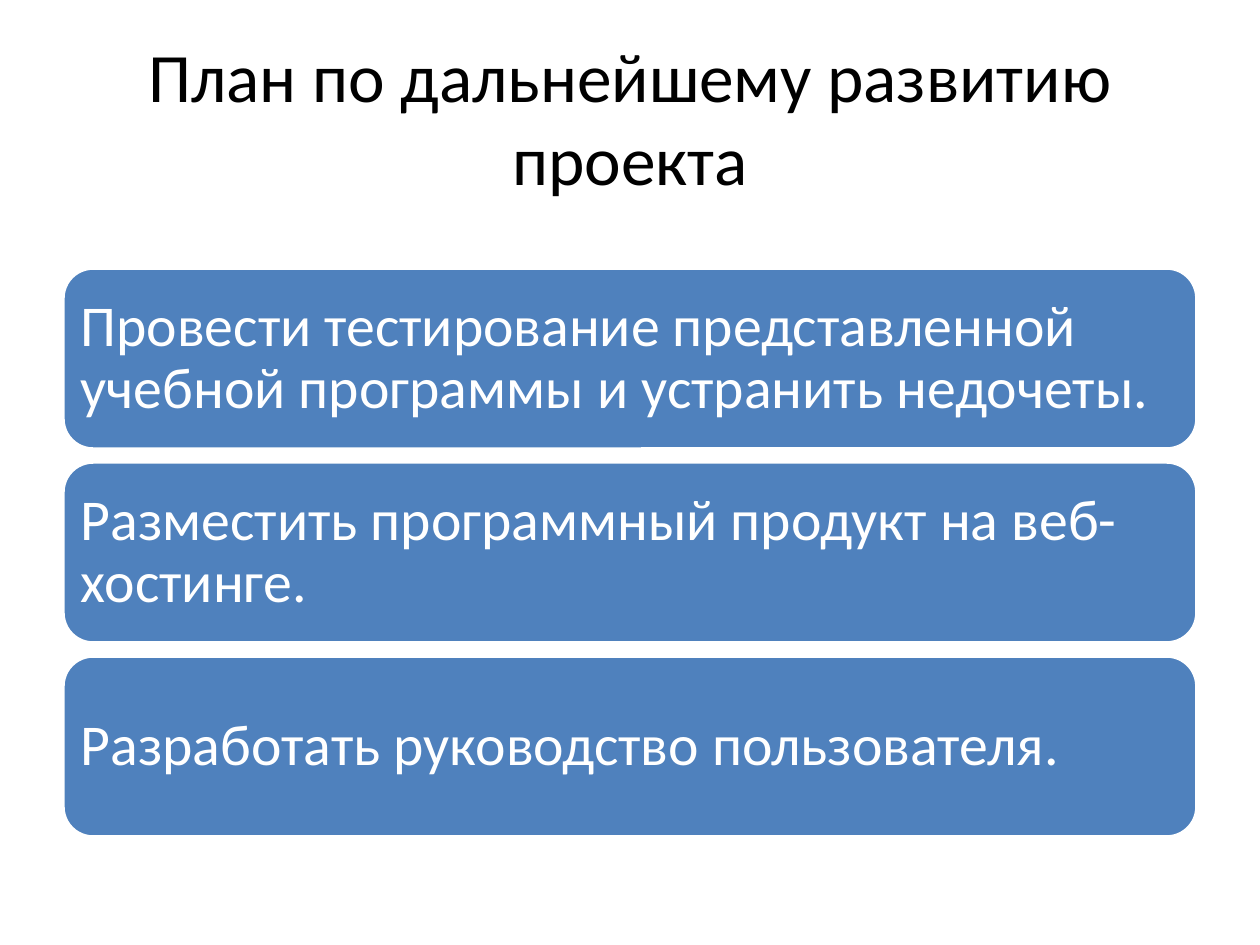
"""Build the slide with the plan for further development of the project."""
from pptx import Presentation
from pptx.dml.color import RGBColor
from pptx.enum.shapes import MSO_SHAPE as Shape
from pptx.enum.text import MSO_ANCHOR as Anchor, MSO_AUTO_SIZE as AutoSize, PP_ALIGN as Align
from pptx.util import Pt

PX = 914400 / 126
BLACK = RGBColor(0x00, 0x00, 0x00)
WHITE = RGBColor(0xFF, 0xFF, 0xFF)
BLUE = RGBColor(0x4F, 0x81, 0xBD)

LEFT, WIDTH = 63, 1134
STEP_TOP, STEP_HEIGHT, STEP_PITCH = 268, 181, 194
STEP_INSET = 9

STEPS = [
    "Провести тестирование представленной учебной программы и устранить недочеты.",
    "Разместить программный продукт на веб-хостинге.",
    "Разработать руководство пользователя.",
]
FRAME_FORMAT = {
    "word_wrap": True,
    "auto_size": AutoSize.NONE,
    "vertical_anchor": Anchor.MIDDLE,
}
STEP_MARGINS = {
    f"margin_{side}": px_inset
    for side, px_inset in zip(("left", "top", "right", "bottom"), [round(STEP_INSET * PX)] * 4)
}


def px(*lengths):
    return [round(length * PX) for length in lengths]


def write(frame, text, frame_format, paragraph_format, size, color):
    frame.text = text
    paragraph = frame.paragraphs[0]
    font_format = {"name": "Calibri", "size": Pt(size)}
    for target, values in (
        (frame, frame_format),
        (paragraph, paragraph_format),
        (paragraph.runs[0].font, font_format),
    ):
        for key, value in values.items():
            setattr(target, key, value)
    paragraph.runs[0].font.color.rgb = color


prs = Presentation()
prs.slide_width, prs.slide_height = px(1260, 945)
slide = prs.slides.add_slide(prs.slide_layouts[5])

title = slide.shapes.title
title.left, title.top, title.width, title.height = px(LEFT, 38, WIDTH, 157)
write(title.text_frame, "План по дальнейшему развитию проекта",
      FRAME_FORMAT, {"alignment": Align.CENTER}, 39.6, BLACK)

for index, text in enumerate(STEPS):
    top = STEP_TOP + index * STEP_PITCH
    step = slide.shapes.add_shape(Shape.ROUNDED_RECTANGLE, *px(LEFT, top, WIDTH, STEP_HEIGHT))
    step.shadow.inherit = False
    step.fill.solid()
    step.fill.fore_color.rgb = BLUE
    step.line.color.rgb = WHITE
    step.line.width = Pt(2)
    write(step.text_frame, text, FRAME_FORMAT | STEP_MARGINS,
          {"alignment": Align.LEFT, "line_spacing": 0.9}, 33, WHITE)

prs.save("out.pptx")
